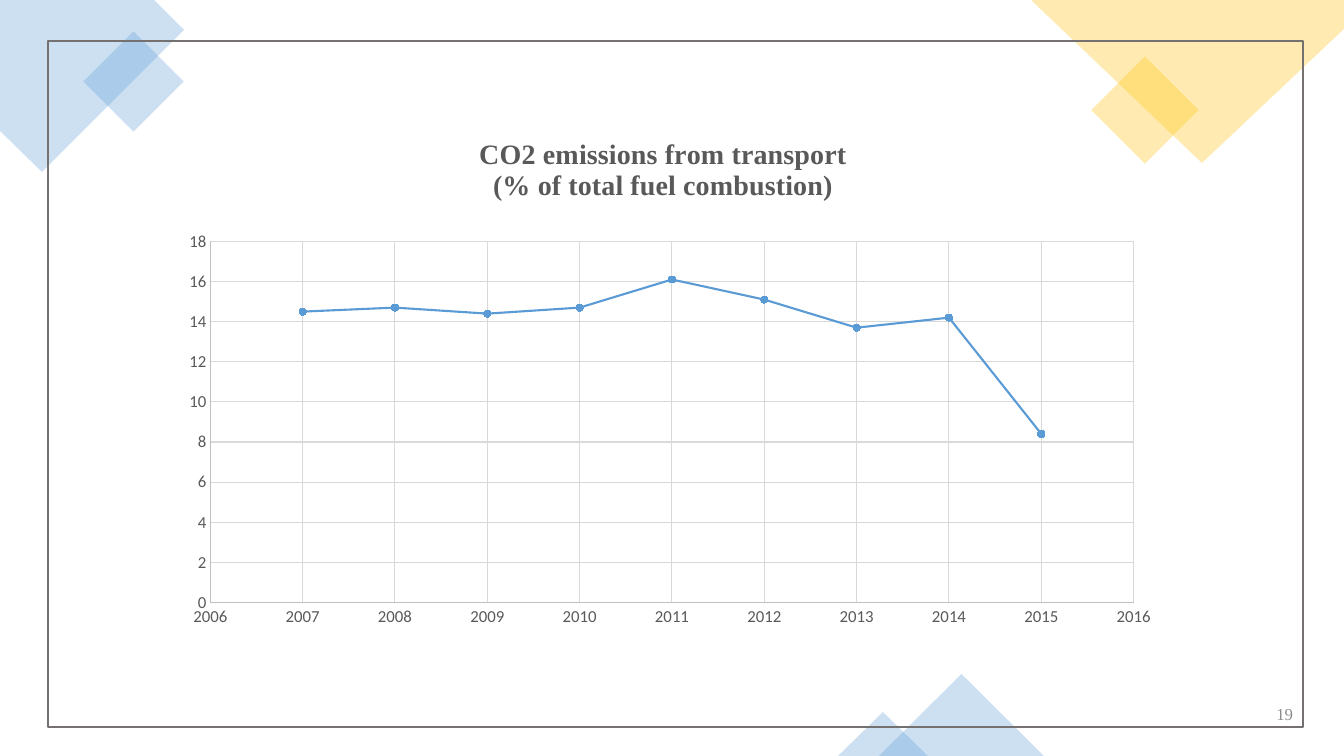
"""Build a slide with a line chart of transport CO2 emissions."""
from lxml.etree import SubElement
from pptx import Presentation
from pptx.chart.data import XyChartData
from pptx.dml.color import RGBColor
from pptx.enum.chart import XL_CHART_TYPE as CHART, XL_MARKER_STYLE as MARKER, XL_TICK_MARK as TICK
from pptx.enum.shapes import MSO_SHAPE as SHAPE
from pptx.enum.text import MSO_ANCHOR as ANCHOR, PP_ALIGN as ALIGN
from pptx.oxml.ns import qn
from pptx.util import Pt

PX = 914400 / 100.8
BLUE = RGBColor(0x5B, 0x9B, 0xD5)
GOLD = RGBColor(0xFF, 0xC0, 0x00)
FRAME = RGBColor(0x76, 0x71, 0x71)
TEXT = RGBColor(0x59, 0x59, 0x59)
AXIS = RGBColor(0xBF, 0xBF, 0xBF)
GRID = RGBColor(0xD9, 0xD9, 0xD9)
NUMBER = RGBColor(0x8C, 0x8C, 0x8C)
SERIF = "Times New Roman"
YEARS = range(2007, 2016)
SHARES = [14.5, 14.7, 14.4, 14.7, 16.1, 15.1, 13.7, 14.2, 8.4]


def px(*lengths):
    return [round(n * PX) for n in lengths]


def tint(sp, color):
    sp.shadow.inherit = False
    sp.fill.solid()
    sp.fill.fore_color.rgb = color
    sp.line.fill.background()
    srgb = sp.fill._xPr.find(".//" + qn("a:srgbClr"))
    SubElement(srgb, qn("a:alpha"), val="30000")


def add_polygon(s, points, color):
    builder = s.shapes.build_freeform(*points[0], scale=PX)
    builder.add_line_segments(points[1:], close=True)
    tint(builder.convert_to_shape(), color)


def add_diamond(s, x, y, side, color):
    sp = s.shapes.add_shape(SHAPE.RECTANGLE, *px(x, y, side, side))
    sp.rotation = 315
    tint(sp, color)


def add_triangle(s, x, y, w, h):
    tint(s.shapes.add_shape(SHAPE.ISOSCELES_TRIANGLE, *px(x, y, w, h)), BLUE)


def add_frame(s, x, y, w, h):
    sp = s.shapes.add_shape(SHAPE.RECTANGLE, *px(x, y, w, h))
    sp.shadow.inherit = False
    sp.fill.background()
    sp.line.color.rgb = FRAME
    sp.line.width = Pt(1)


def set_font(font, size, color, name, bold=False):
    font.size, font.name, font.bold = Pt(size), name, bold
    font.color.rgb = color


def set_layout(parent, index, **fractions):
    for old in parent.findall(qn("c:layout")):
        parent.remove(old)
    layout = SubElement(parent, qn("c:layout"))
    parent.insert(index, layout)
    manual = SubElement(layout, qn("c:manualLayout"))
    if "w" in fractions:
        SubElement(manual, qn("c:layoutTarget"), val="inner")
    for mode in ("xMode", "yMode"):
        SubElement(manual, qn("c:" + mode), val="edge")
    for name, value in fractions.items():
        SubElement(manual, qn("c:" + name), val=str(value))


def style_axis(axis, low, high, step):
    axis.minimum_scale, axis.maximum_scale, axis.major_unit = low, high, step
    axis.major_tick_mark = axis.minor_tick_mark = TICK.NONE
    axis.has_major_gridlines = True
    for line, color in ((axis.format.line, AXIS), (axis.major_gridlines.format.line, GRID)):
        line.color.rgb = color
        line.width = Pt(0.75)
    labels = axis.tick_labels
    labels.number_format, labels.number_format_is_linked = "0", False
    set_font(labels.font, 12, TEXT, "Calibri")


def add_title(chart, *lines):
    chart.has_title = True
    tf = chart.chart_title.text_frame
    for i, line in enumerate(lines):
        p = tf.add_paragraph() if i else tf.paragraphs[0]
        p.text = line
        p.alignment = ALIGN.CENTER
        set_font(p.font, 20, TEXT, SERIF, True)
    set_layout(chart.chart_title._element, 1, x=0.31, y=0.09)


def add_emissions_chart(s, x, y, w, h):
    data = XyChartData()
    points = data.add_series("Series 1")
    for year, share in zip(YEARS, SHARES):
        points.add_data_point(year, share)
    chart = s.shapes.add_chart(CHART.XY_SCATTER_LINES, *px(x, y, w, h), data).chart
    chart.has_legend = False
    chart.font.size, chart.font.name = Pt(10), "Calibri"
    add_title(chart, "CO2 emissions from transport", "(% of total fuel combustion)")
    style_axis(chart.category_axis, 2006, 2016, 1)
    style_axis(chart.value_axis, 0, 18, 2)
    plot = chart.plots[0]
    plot.vary_by_categories = False
    series = plot.series[0]
    series.smooth = False
    series.format.line.color.rgb = BLUE
    series.format.line.width = Pt(1.5)
    marker = series.marker
    marker.style, marker.size = MARKER.CIRCLE, 5
    marker.format.fill.solid()
    marker.format.fill.fore_color.rgb = BLUE
    marker.format.line.color.rgb = BLUE
    plot_area = chart._chartSpace.find(".//" + qn("c:plotArea"))
    set_layout(plot_area, 0, x=0.046, y=0.27, w=0.917, h=0.604)


def add_number(s, text, x, y, w, h):
    tf = s.shapes.add_textbox(*px(x, y, w, h)).text_frame
    tf.word_wrap = True
    tf.vertical_anchor = ANCHOR.MIDDLE
    p = tf.paragraphs[0]
    p.text = text
    p.alignment = ALIGN.RIGHT
    set_font(p.font, 12, NUMBER, SERIF)


def main():
    prs = Presentation()
    prs.slide_width, prs.slide_height = px(1344, 756)
    s = prs.slides.add_slide(prs.slide_layouts[6])
    add_polygon(s, [(0, 0), (154, 0), (184, 30), (42, 172), (0, 131)], BLUE)
    add_diamond(s, 98, 46, 71, BLUE)
    add_diamond(s, 1107, 72, 76, GOLD)
    add_polygon(s, [(1031, 0), (1344, 0), (1344, 29), (1202, 163)], GOLD)
    add_triangle(s, 879, 674, 165, 82)
    add_triangle(s, 838, 712, 90, 44)
    add_frame(s, 48, 41, 1255, 686)
    add_emissions_chart(s, 164, 80, 1007, 598)
    add_number(s, "19", 1253, 694, 50, 40)
    prs.save("out.pptx")


if __name__ == "__main__":
    main()
